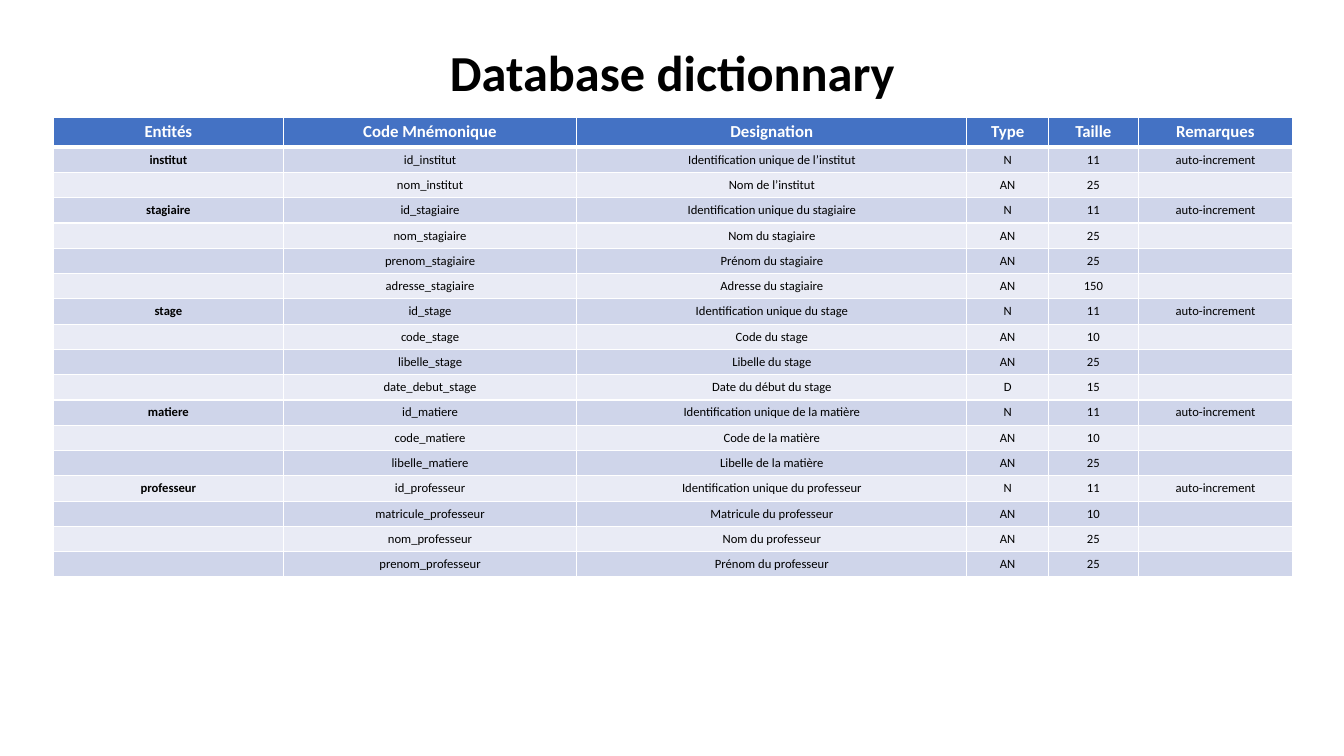
from lxml import etree
from pptx import Presentation
from pptx.dml.color import RGBColor
from pptx.enum import text
from pptx.oxml import ns
from pptx.util import Inches, Pt

TITLE = "Database dictionnary"
HEADINGS = ("Entités", "Code Mnémonique", "Designation", "Type", "Taille", "Remarques")
# Each entity with its fields: code, designation, type, size
ENTITIES = {
    "institut": [
        ("id_institut", "Identification unique de l’institut", "N", 11),
        ("nom_institut", "Nom de l’institut", "AN", 25),
    ],
    "stagiaire": [
        ("id_stagiaire", "Identification unique du stagiaire", "N", 11),
        ("nom_stagiaire", "Nom du stagiaire", "AN", 25),
        ("prenom_stagiaire", "Prénom du stagiaire", "AN", 25),
        ("adresse_stagiaire", "Adresse du stagiaire", "AN", 150),
    ],
    "stage": [
        ("id_stage", "Identification unique du stage", "N", 11),
        ("code_stage", "Code du stage", "AN", 10),
        ("libelle_stage", "Libelle du stage", "AN", 25),
        ("date_debut_stage", "Date du début du stage", "D", 15),
    ],
    "matiere": [
        ("id_matiere", "Identification unique de la matière", "N", 11),
        ("code_matiere", "Code de la matière", "AN", 10),
        ("libelle_matiere", "Libelle de la matière", "AN", 25),
    ],
    "professeur": [
        ("id_professeur", "Identification unique du professeur", "N", 11),
        ("matricule_professeur", "Matricule du professeur", "AN", 10),
        ("nom_professeur", "Nom du professeur", "AN", 25),
        ("prenom_professeur", "Prénom du professeur", "AN", 25),
    ],
}
KEY_REMARK = "auto-increment"
COLUMN_WIDTHS = (2.28, 2.91, 3.87, 0.81, 0.89, 1.53)
HEADER_HEIGHT, ROW_HEIGHT, TABLE_HEIGHT = 0.29, 0.24, 4.55
COLORS = {"header": "4472C4", "odd": "CFD5EA", "even": "E9EBF5",
          "white": "FFFFFF", "black": "000000"}
FONT = "Calibri"


def write(frame, words, size=9, bold=False, color="black", spacing=1.0):
    para = frame.paragraphs[0]
    para.alignment = text.PP_ALIGN.CENTER
    para.line_spacing = spacing
    # An empty cell takes its height from the paragraph font
    target = para
    if words:
        target = para.add_run()
        target.text = words
    font = target.font
    font.name, font.size, font.bold = FONT, Pt(size), bold
    font.color.rgb = RGBColor.from_string(COLORS[color])
    if not words:
        end = etree.SubElement(para._p, ns.qn("a:endParaRPr"))
        end.set("sz", str(size * 100))


def add_borders(cell, top, bottom):
    properties = cell._tc.get_or_add_tcPr()
    for side, width in (("L", 1), ("R", 1), ("T", top), ("B", bottom)):
        line = etree.SubElement(properties, ns.qn(f"a:ln{side}"), w=str(Pt(width)))
        fill = etree.SubElement(line, ns.qn("a:solidFill"))
        etree.SubElement(fill, ns.qn("a:srgbClr"), val=COLORS["white"])


deck = Presentation()
deck.slide_width, deck.slide_height = Inches(13.33), Inches(7.5)
page = deck.slides.add_slide(deck.slide_layouts[6])

# Title
box = page.shapes.add_textbox(Inches(0.92), Inches(0.02), Inches(11.5), Inches(1.45))
box.text_frame.word_wrap = True
box.text_frame.vertical_anchor = text.MSO_ANCHOR.MIDDLE
write(box.text_frame, TITLE, size=36, bold=True, spacing=0.9)

# Rows: the entity name and the remark stand only beside its first field
rows = [HEADINGS]
for entity, fields in ENTITIES.items():
    for index, (code, designation, kind, size) in enumerate(fields):
        first = index == 0
        rows.append((entity if first else "", code, designation, kind, str(size),
                     KEY_REMARK if first else ""))

# Table
holder = page.shapes.add_table(len(rows), len(HEADINGS), Inches(0.53), Inches(1.16),
                               Inches(sum(COLUMN_WIDTHS)), Inches(TABLE_HEIGHT))
table = holder.table
for column, width in zip(table.columns, COLUMN_WIDTHS):
    column.width = Inches(width)
for r, values in enumerate(rows):
    header = r == 0
    table.rows[r].height = Inches(HEADER_HEIGHT if header else ROW_HEIGHT)
    shade = "header" if header else "odd" if r % 2 else "even"
    for c, value in enumerate(values):
        cell = table.cell(r, c)
        add_borders(cell, top=3 if r == 1 else 1, bottom=3 if header else 1)
        cell.fill.solid()
        cell.fill.fore_color.rgb = RGBColor.from_string(COLORS[shade])
        cell.vertical_anchor = text.MSO_ANCHOR.MIDDLE
        write(cell.text_frame, value, size=12 if header else 9,
              bold=header or c == 0, color="white" if header else "black")
holder.height = Inches(TABLE_HEIGHT)

deck.save("out.pptx")
